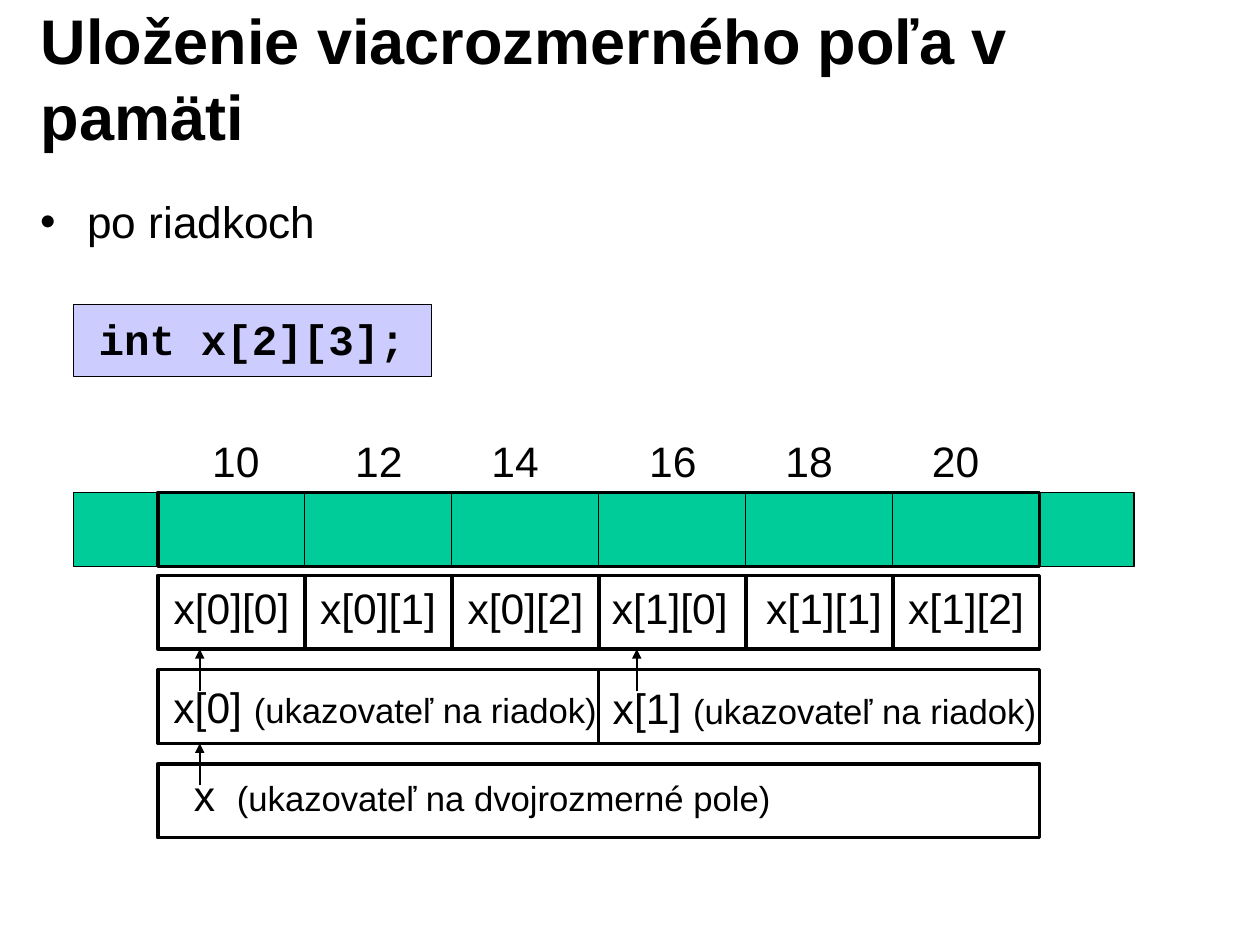
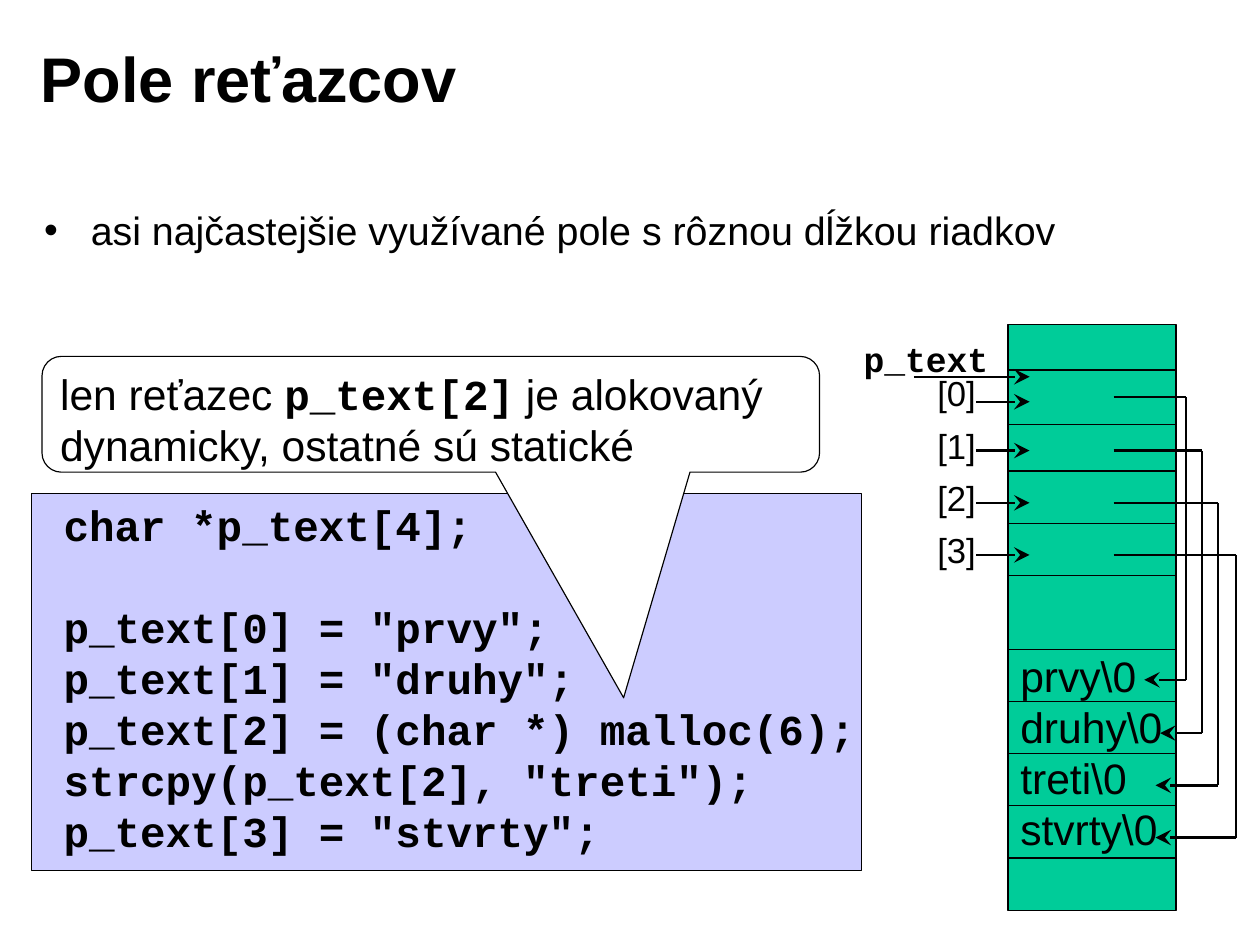
from lxml import etree
from pptx import Presentation
from pptx.dml.color import RGBColor
from pptx.enum.shapes import MSO_CONNECTOR, MSO_SHAPE
from pptx.enum.text import MSO_ANCHOR, PP_ALIGN
from pptx.oxml.ns import qn
from pptx.util import Inches, Pt

RECT = MSO_SHAPE.RECTANGLE
CALLOUT = MSO_SHAPE.ROUNDED_RECTANGULAR_CALLOUT
STRAIGHT = MSO_CONNECTOR.STRAIGHT
TOP, MIDDLE = MSO_ANCHOR.TOP, MSO_ANCHOR.MIDDLE
LEFT = PP_ALIGN.LEFT

COLORS = {"ink": "000000", "paper": "FFFFFF", "code": "CCCCFF", "memory": "00CC99"}
SANS = {"name": "Arial", "size": Pt(27), "bold": False}
MONO = {**SANS, "name": "Courier New", "bold": True}
TITLE = {**SANS, "size": Pt(40), "bold": True}
SMALL = {**SANS, "size": Pt(22)}
TRIANGLE = {"type": "triangle"}
STEALTH = {"type": "stealth", "w": "lg", "len": "lg"}


def color(key):
    return RGBColor.from_string(COLORS[key])


class Deck:
    """Holds the shared style and the slide being built."""

    def __init__(self):
        self.prs = Presentation()
        self.prs.slide_width, self.prs.slide_height = Inches(11.1), Inches(8.3)
        self.s = None

    def slide(self, title):
        self.s = self.prs.slides.add_slide(self.prs.slide_layouts[6])
        self.text(0.25, 0.17, 8.91, 1.02, [[(title, TITLE)]], wrap=True, anchor=MIDDLE)

    def fill_text(self, tf, lines, wrap=False, anchor=TOP, inset=0.11):
        margins = {"margin_left": inset, "margin_right": inset,
                   "margin_top": inset / 2, "margin_bottom": inset / 2}
        for name, value in margins.items():
            setattr(tf, name, Inches(value))
        tf.word_wrap, tf.vertical_anchor = wrap, anchor
        for i, runs in enumerate(lines):
            p = tf.paragraphs[0] if i == 0 else tf.add_paragraph()
            p.alignment = LEFT
            p.line_spacing = Pt(runs[0][1]["size"].pt * 1.2)
            for content, style in runs:
                r = p.add_run()
                r.text = content
                for name, value in style.items():
                    setattr(r.font, name, value)
                r.font.color.rgb = color("ink")

    def text(self, x, y, w, h, lines, **layout):
        sp = self.s.shapes.add_textbox(*map(Inches, (x, y, w, h)))
        self.fill_text(sp.text_frame, lines, **layout)
        return sp.text_frame

    def bullet(self, x, y, w, h, content, size):
        tf = self.text(x, y, w, h, [[(content, {**SANS, "size": Pt(size)})]], wrap=True)
        pPr = tf.paragraphs[0]._p.get_or_add_pPr()
        pPr.set("marL", str(Inches(0.41)))
        pPr.set("indent", str(-Inches(0.41)))
        etree.SubElement(pPr, qn("a:buFont")).set("typeface", "Arial")
        etree.SubElement(pPr, qn("a:buChar")).set("char", "•")

    def box(self, x, y, w, h, fill=None, width=0.75, kind=RECT):
        sp = self.s.shapes.add_shape(kind, *map(Inches, (x, y, w, h)))
        sp.shadow.inherit = False
        if fill:
            sp.fill.solid()
            sp.fill.fore_color.rgb = color(fill)
        else:
            sp.fill.background()
        sp.line.color.rgb = color("ink")
        sp.line.width = Pt(width)
        return sp

    def callout(self, x, y, w, h, adjustments, lines):
        sp = self.box(x, y, w, h, "paper", kind=CALLOUT)
        for i, value in enumerate(adjustments):
            sp.adjustments[i] = value
        self.fill_text(sp.text_frame, lines, wrap=True)

    def line(self, x1, y1, x2, y2, width=0.75, head=None):
        c = self.s.shapes.add_connector(STRAIGHT, *map(Inches, (x1, y1, x2, y2)))
        c.line.color.rgb = color("ink")
        c.line.width = Pt(width)
        spPr = c._element.spPr
        if head:
            etree.SubElement(spPr.find(qn("a:ln")), qn("a:tailEnd"), head)
        etree.SubElement(spPr, qn("a:effectLst"))


def array_slide(d):
    d.slide("Uloženie viacrozmerného poľa v pamäti")
    d.bullet(0.25, 1.66, 10.66, 1.04, "po riadkoch", 28)
    d.box(0.65, 2.68, 3.15, 0.64, "code")
    d.text(0.76, 2.7, 2.92, 0.56, [[("int x[2][3];", MONO)]])

    left, width, height = 1.39, 7.77, 0.65
    cell = width / 6
    memory_y, cell_y, row_y, array_y = 4.34, 5.07, 5.9, 6.73
    d.box(0.65, memory_y, 9.34, height, "memory")
    address_x = [1.76, 3.02, 4.22, 5.61, 6.81, 8.1]
    name_x = [1.42, 2.71, 4.01, 5.28, 6.64, 7.89]
    for i, (ax, nx) in enumerate(zip(address_x, name_x)):
        x = left + i * cell
        d.text(ax, 3.78, 0.64, 0.56, [[(str(10 + 2 * i), SANS)]])
        d.text(nx, cell_y, 1.4, 0.56, [[(f"x[{i // 3}][{i % 3}]", SANS)]], wrap=True)
        d.box(x, cell_y, cell, height, width=2.25)
        if i:
            d.line(x, memory_y, x, memory_y + height)
    d.box(left, memory_y, width, height, width=2.25)

    for i, (x, y, arrow_x) in enumerate([(1.43, 5.95, 1.76), (5.3, 5.96, 5.61)]):
        d.box(left + 3 * i * cell, row_y, 3 * cell, height, width=2.25)
        d.text(x, y, 3.93, 0.55,
               [[(f"x[{i}] ", SANS), ("(ukazovateľ na riadok)", SMALL)]], inset=0.1)
        d.line(arrow_x, 6.09, arrow_x, 5.72, 1.5, TRIANGLE)
    d.box(left, array_y, width, height, width=2.25)
    tf = d.text(1.61, array_y, 6, 0.55,
                [[("x\t", SANS), ("(ukazovateľ na dvojrozmerné pole)", SMALL)]],
                wrap=True, inset=0.1)
    tabs = etree.SubElement(tf.paragraphs[0]._p.get_or_add_pPr(), qn("a:tabLst"))
    etree.SubElement(tabs, qn("a:tab"), {"pos": str(Inches(0.38)), "algn": "l"})
    d.line(1.76, 6.92, 1.76, 6.55, 1.5, TRIANGLE)


def strings_slide(d):
    d.slide("Pole reťazcov")
    d.bullet(0.28, 1.76, 10.18, 0.55,
             "asi najčastejšie využívané pole s rôznou dĺžkou riadkov", 25)
    d.box(0.28, 4.35, 7.31, 3.32, "code")
    code = ["char *p_text[4];", 'p_text[0] = "prvy";', 'p_text[1] = "druhy";',
            "p_text[2] = (char *) malloc(6);", 'strcpy(p_text[2], "treti");',
            'p_text[3] = "stvrty";']
    tf = d.text(0.45, 4.34, 7.2, 3.26, [[(row, MONO)] for row in code])
    tf.paragraphs[1].space_before = Pt(32.4)
    d.callout(0.37, 3.14, 6.85, 1.02, (0.248, 2.449, 0.167),
              [[("len reťazec ", SANS), ("p_text[2]", MONO),
                (" je alokovaný dynamicky, ostatné sú statické", SANS)]])

    left, right = 8.88, 10.36
    d.box(left, 2.86, right - left, 5.16, "memory")
    words = ["prvy", "druhy", "treti", "stvrty"]
    d.text(8.89, 5.68, 1.45, 1.9, [[(word + "\\0", SANS)] for word in words], inset=0.1)
    d.text(7.51, 2.93, 1.3, 0.47, [[("p_text", {**MONO, "size": Pt(22)})]], inset=0.1)
    d.line(8.05, 3.32, 9.07, 3.32, 1.5, STEALTH)
    for y in [3.26, 3.74, 4.15, 4.61, 5.07] + [5.72 + 0.46 * i for i in range(5)]:
        d.line(left, y, right, y)

    pointers = [(3.54, 3.5, 10.45, 10.08), (3.97, 3.97, 10.59, 10.22),
                (4.43, 4.43, 10.73, 10.18), (4.89, 4.89, 10.89, 10.18)]
    for i, (index_y, y, bend_x, end_x) in enumerate(pointers):
        d.text(8.16, 3.23 + 0.46 * i, 0.54, 0.47, [[(f"[{i}]", SMALL)]], inset=0.1)
        d.line(8.6, index_y, 9.07, index_y, 1.5, STEALTH)
        d.line(9.81, y, bend_x, y, 1.5)
        d.line(bend_x, y, bend_x, y + 2.49, 1.5)
        d.line(bend_x, y + 2.49, end_x, y + 2.49, 1.5, STEALTH)


def main():
    d = Deck()
    array_slide(d)
    strings_slide(d)
    d.prs.save("out.pptx")


if __name__ == "__main__":
    main()
